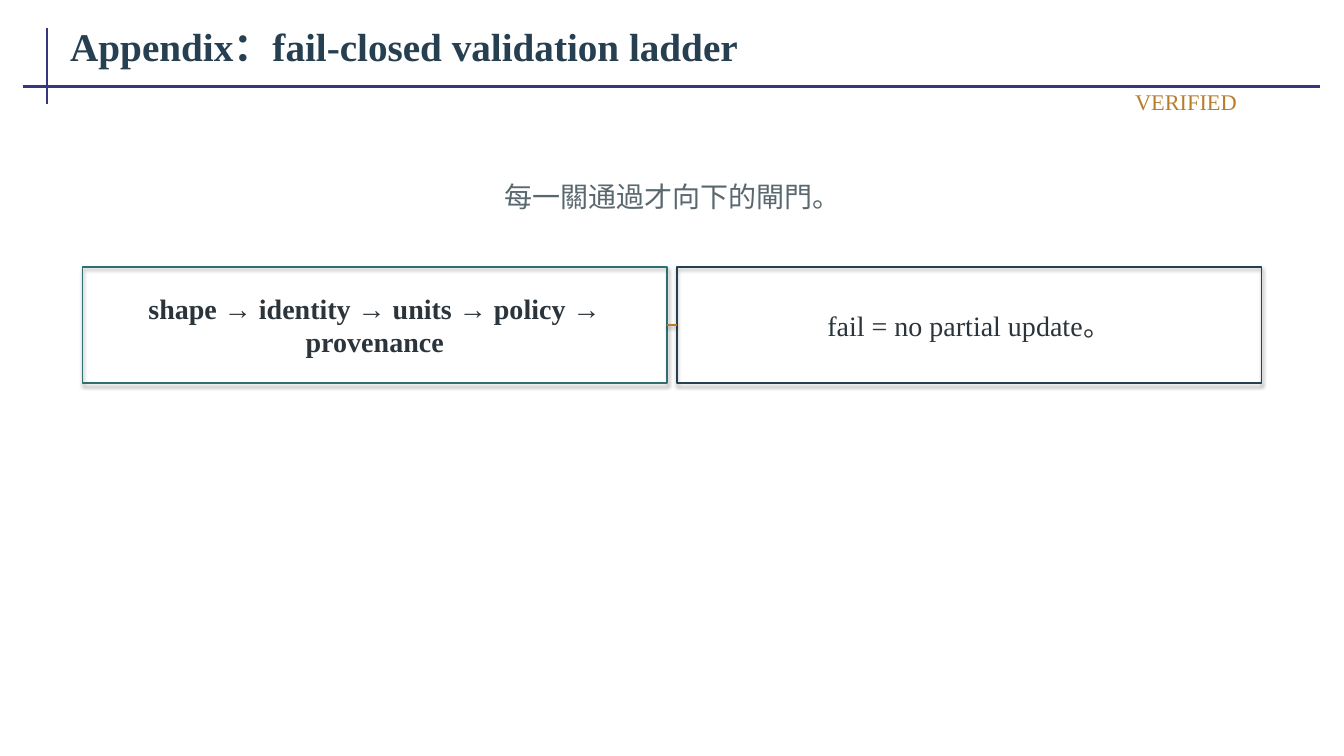
from lxml import etree
from pptx import Presentation
from pptx.dml.color import RGBColor
from pptx.enum.shapes import MSO_CONNECTOR, MSO_SHAPE
from pptx.enum.text import MSO_ANCHOR, PP_ALIGN
from pptx.oxml.ns import qn
from pptx.util import Cm, Pt

FONT = "Times New Roman"
NAVY, RULE, INK, GOLD, GREY = "263F51", "35377F", "2A343A", "B77D2D", "59686F"

# text, (left, top, width, height) in cm, size, colour, bold, alignment
LABELS = [
    ("Appendix：fail-closed validation ladder", (1.57, 0.38, 31.72, 1.57),
     28, NAVY, True, PP_ALIGN.LEFT),
    ("每一關通過才向下的閘門。", (2.34, 4.19, 29.21, 1.52), 20, GREY, False, PP_ALIGN.CENTER),
    ("VERIFIED", (23.24, 2.18, 8.13, 0.76), 16, GOLD, False, PP_ALIGN.RIGHT),
]
# x1, y1, x2, y2 in cm
RULES = [(1.19, 0.71, 1.19, 2.62), (0.58, 2.18, 33.27, 2.18)]
# text, border colour, bold
GATES = [
    ("shape → identity → units → policy → provenance", "2F6F70", True),
    ("fail = no partial update。", NAVY, False),
]
GATE_LEFT, GATE_TOP, GATE_W, GATE_H, GATE_GAP = 2.08, 6.73, 14.73, 2.92, 0.25
PAD_X, PAD_Y = 0.13, 0.25


def rgb(value):
    return RGBColor.from_string(value)


def set_shadow(sp, alpha=None, distance=0):
    """Give a soft downward shadow, or none when alpha is missing."""
    effects = etree.SubElement(sp._element.spPr, qn("a:effectLst"))
    if alpha is None:
        return
    shadow = etree.SubElement(effects, qn("a:outerShdw"), blurRad=str(Pt(3.1)),
                              dist=str(Pt(distance)), dir="5400000", rotWithShape="0")
    color = etree.SubElement(shadow, qn("a:srgbClr"), val="000000")
    etree.SubElement(color, qn("a:alpha"), val=str(alpha * 1000))


def add_label(s, text, box, size, color, bold, align):
    tf = s.shapes.add_textbox(*map(Cm, box)).text_frame
    tf.word_wrap = True
    tf.vertical_anchor = MSO_ANCHOR.MIDDLE
    tf.margin_left = tf.margin_right = Cm(0.2)
    tf.margin_top = tf.margin_bottom = Cm(0.1)
    p = tf.paragraphs[0]
    p.text = text
    p.alignment = align
    font = p.runs[0].font
    font.name, font.size, font.bold = FONT, Pt(size), bold
    font.color.rgb = rgb(color)


def add_line(s, ends, color, width):
    line = s.shapes.add_connector(MSO_CONNECTOR.STRAIGHT, *map(Cm, ends))
    line.line.color.rgb = rgb(color)
    line.line.width = Pt(width)
    return line


def add_gate(s, left, border):
    sp = s.shapes.add_shape(MSO_SHAPE.RECTANGLE, Cm(left), Cm(GATE_TOP), Cm(GATE_W), Cm(GATE_H))
    sp.fill.background()
    sp.line.color.rgb = rgb(border)
    sp.line.width = Pt(1.2)
    set_shadow(sp, 35, 1.8)
    return sp


def main():
    prs = Presentation()
    prs.slide_width, prs.slide_height = Cm(33.87), Cm(19.05)
    s = prs.slides.add_slide(prs.slide_layouts[6])

    for ends in RULES:
        set_shadow(add_line(s, ends, RULE, 1.5))

    gates = []
    for i, (text, border, bold) in enumerate(GATES):
        left = GATE_LEFT + i * (GATE_W + GATE_GAP)
        gates.append(add_gate(s, left, border))
        box = (left + PAD_X, GATE_TOP + PAD_Y, GATE_W - 2 * PAD_X, GATE_H - 2 * PAD_Y)
        add_label(s, text, box, 20, INK, bold, PP_ALIGN.CENTER)

    for before, after in zip(gates, gates[1:]):
        link = add_line(s, (0, 0, 0, 0), GOLD, 1.2)
        link.begin_connect(before, 3)
        link.end_connect(after, 1)
        set_shadow(link, 38, 1.6)

    for label in LABELS:
        add_label(s, *label)

    prs.save("out.pptx")


if __name__ == "__main__":
    main()
